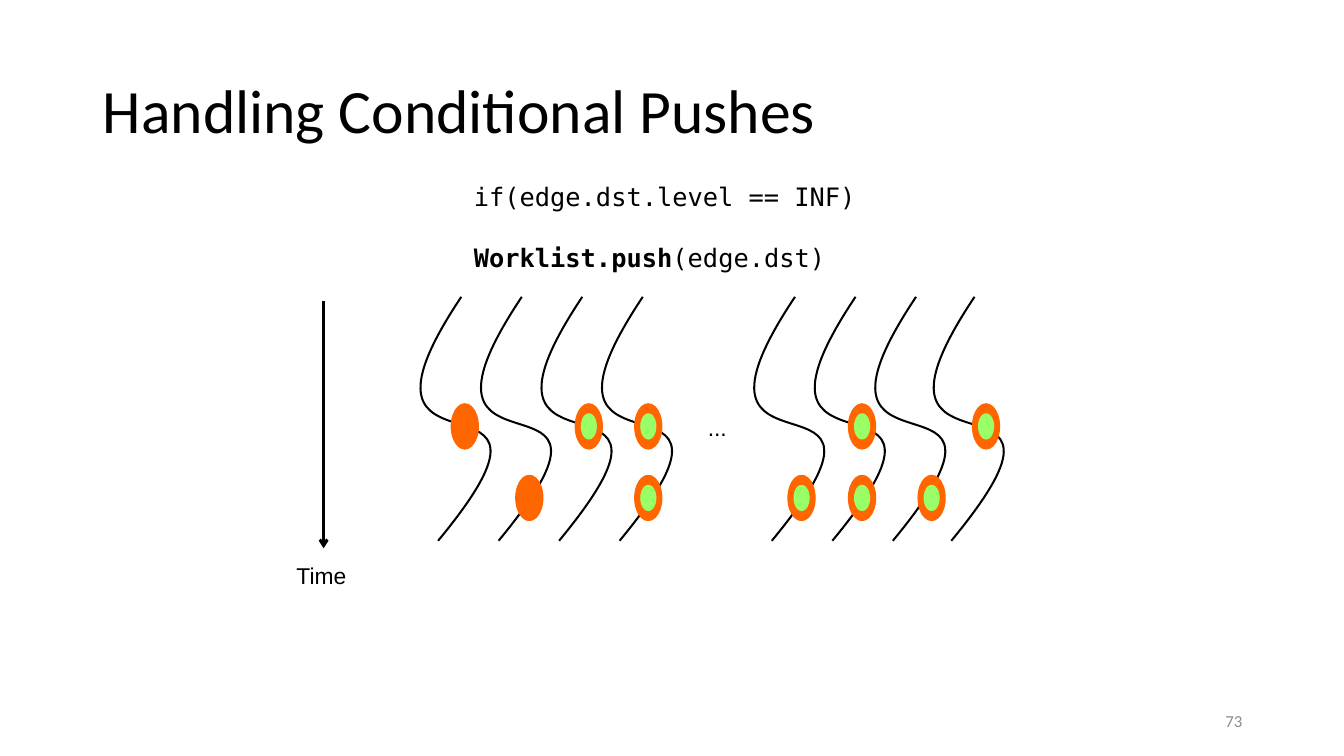
from lxml import etree
from pptx import Presentation
from pptx.dml.color import RGBColor
from pptx.enum.shapes import MSO_CONNECTOR, MSO_SHAPE
from pptx.enum.text import MSO_ANCHOR, PP_ALIGN
from pptx.oxml.ns import qn
from pptx.util import Inches, Pt

OVAL = MSO_SHAPE.OVAL
STRAIGHT = MSO_CONNECTOR.STRAIGHT
MIDDLE, TOP = MSO_ANCHOR.MIDDLE, MSO_ANCHOR.TOP
LEFT, RIGHT = PP_ALIGN.LEFT, PP_ALIGN.RIGHT
COLORS = {"ink": "000000", "number": "8C8C8C", "push": "FF6600", "kept": "99FF66"}


def color(name):
    return RGBColor.from_string(COLORS[name])


def write(box, lines, size, font="Arial", ink="ink", align=LEFT, anchor=TOP,
          wrap=False, inset=(0.09, 0.04), before=0, spacing=None):
    """Fill a box with lines, each a list of (text, bold) spans."""
    frame = box.text_frame
    frame.word_wrap = wrap
    frame.vertical_anchor = anchor
    frame.margin_left = frame.margin_right = Inches(inset[0])
    frame.margin_top = frame.margin_bottom = Inches(inset[1])
    for index, spans in enumerate(lines):
        para = frame.add_paragraph() if index else frame.paragraphs[0]
        para.alignment = align
        para.line_spacing = spacing
        if index:
            para.space_before = Pt(before)
        for text, bold in spans:
            span = para.add_run()
            span.text = text
            span.font.name = font
            span.font.size = Pt(size)
            span.font.bold = bold
            span.font.color.rgb = color(ink)


deck = Presentation()
deck.slide_width, deck.slide_height = Inches(13.33), Inches(7.5)
page = deck.slides.add_slide(deck.slide_layouts[5])
shapes = page.shapes

# Title and slide number
title = shapes.title
title.left, title.top = Inches(0.92), Inches(0.4)
title.width, title.height = Inches(11.5), Inches(1.45)
write(title, [[("Handling Conditional Pushes", False)]], 44, font="Calibri",
      anchor=MIDDLE, wrap=True, inset=(0.1, 0.05), spacing=0.9)
number = shapes.add_textbox(Inches(9.42), Inches(6.95), Inches(3), Inches(0.4))
write(number, [[("73", False)]], 12, font="Calibri", ink="number",
      align=RIGHT, anchor=MIDDLE, wrap=True, inset=(0.1, 0.05))

# Code
code = shapes.add_textbox(Inches(4.61), Inches(1.76), Inches(4.01), Inches(0.68))
write(code, [[("if(edge.dst.level == INF)", False)],
             [("Worklist.push", True), ("(edge.dst)", False)]],
      18.1, font="DejaVu Sans Mono", before=21.5)

# Threads: one S-shaped cubic curve lying on its side, turned upright
LENGTH, DEPTH, THREAD_TOP = 2.42, 0.69, 3.81
BEGIN, FINISH = (0, 0.29), (LENGTH, 0.52)
BEND = [(2.08, 1.68), (0.47, -1.09), FINISH]
for start in (4.58, 5.18, 5.78, 6.38, 7.89, 8.49, 9.09, 9.67):
    left = start - 1.27
    outline = [(Inches(left + x), Inches(THREAD_TOP + y))
               for x, y in (BEGIN, (LENGTH, 0), (0, DEPTH), FINISH)]
    builder = shapes.build_freeform(*outline[0])
    builder.add_line_segments(outline[1:], close=False)
    thread = builder.convert_to_shape()
    track = thread._element.find(".//" + qn("a:path"))
    for segment in track.findall(qn("a:lnTo")):
        track.remove(segment)
    cubic = etree.SubElement(track, qn("a:cubicBezTo"))
    for x, y in BEND:
        etree.SubElement(cubic, qn("a:pt"), x=str(Inches(x)), y=str(Inches(y)))
    thread.rotation = 90
    thread.shadow.inherit = False
    thread.fill.background()
    thread.line.color.rgb = color("ink")
    thread.line.width = Pt(1.45)

# Dots between the two groups of threads
dots = shapes.add_textbox(Inches(6.93), Inches(4.06), Inches(0.37), Inches(0.35))
write(dots, [[("...", False)]], 16.3)

# Pushes: orange ovals, then a green core where the condition fails
PUSHES = [(4.61, 4.23), (6.43, 4.23), (8.55, 4.23), (9.78, 4.23), (5.84, 4.23),
          (5.25, 4.94), (7.95, 4.94), (6.43, 4.94), (8.55, 4.94), (9.24, 4.94)]
UNMARKED = {(4.61, 4.23), (5.25, 4.94)}
KEPT = [center for center in PUSHES if center not in UNMARKED]
for name, centers, width, height in (("push", PUSHES, 0.27, 0.45),
                                     ("kept", KEPT, 0.15, 0.25)):
    for x, y in centers:
        oval = shapes.add_shape(OVAL, Inches(x - width / 2), Inches(y - height / 2),
                                Inches(width), Inches(height))
        oval.shadow.inherit = False
        oval.fill.solid()
        oval.fill.fore_color.rgb = color(name)
        oval.line.color.rgb = color(name)
        oval.line.width = Pt(0)

# Time arrow
arrow = shapes.add_connector(STRAIGHT, Inches(3.21), Inches(2.99), Inches(3.21), Inches(5.44))
arrow.line.color.rgb = color("ink")
arrow.line.width = Pt(2)
line = arrow._element.spPr.find(qn("a:ln"))
etree.SubElement(line, qn("a:tailEnd"), type="arrow")
etree.SubElement(arrow._element.spPr, qn("a:effectLst"))
time = shapes.add_textbox(Inches(2.85), Inches(5.53), Inches(0.68), Inches(0.35))
write(time, [[("Time", False)]], 16.3)

deck.save("out.pptx")
